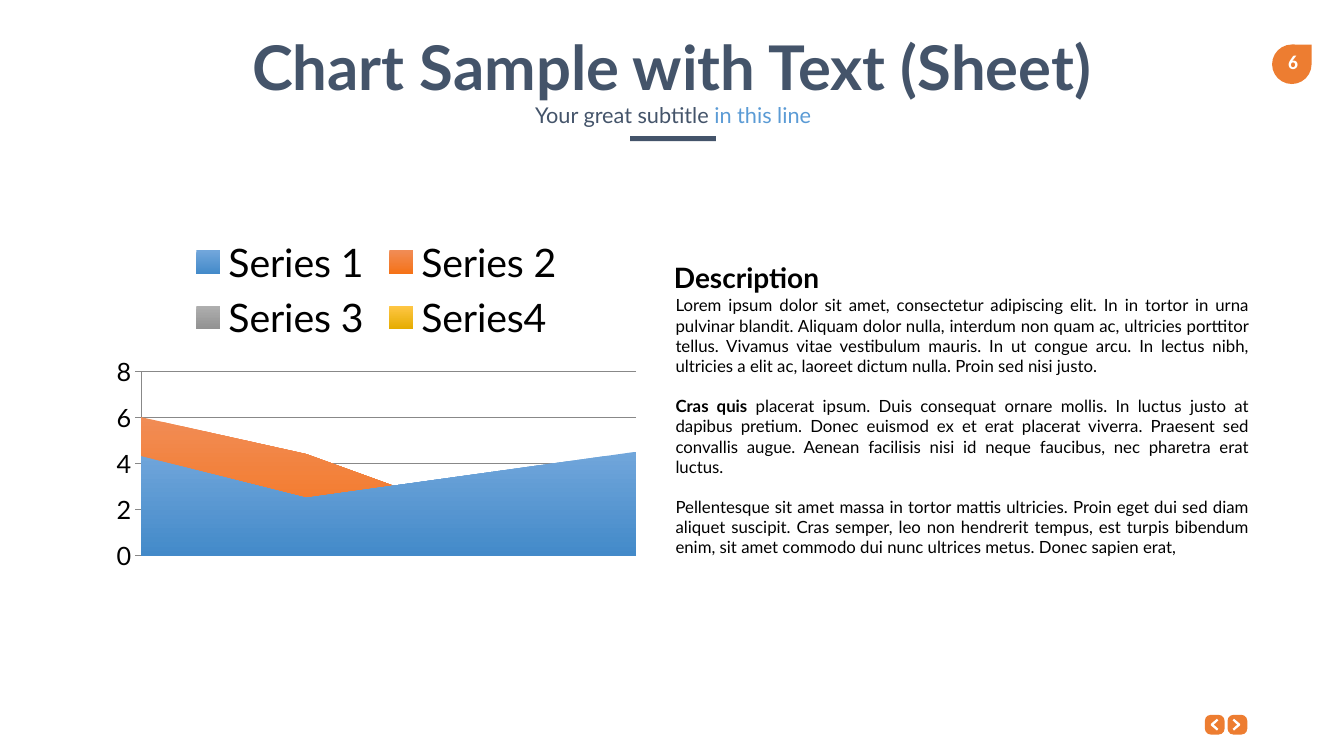
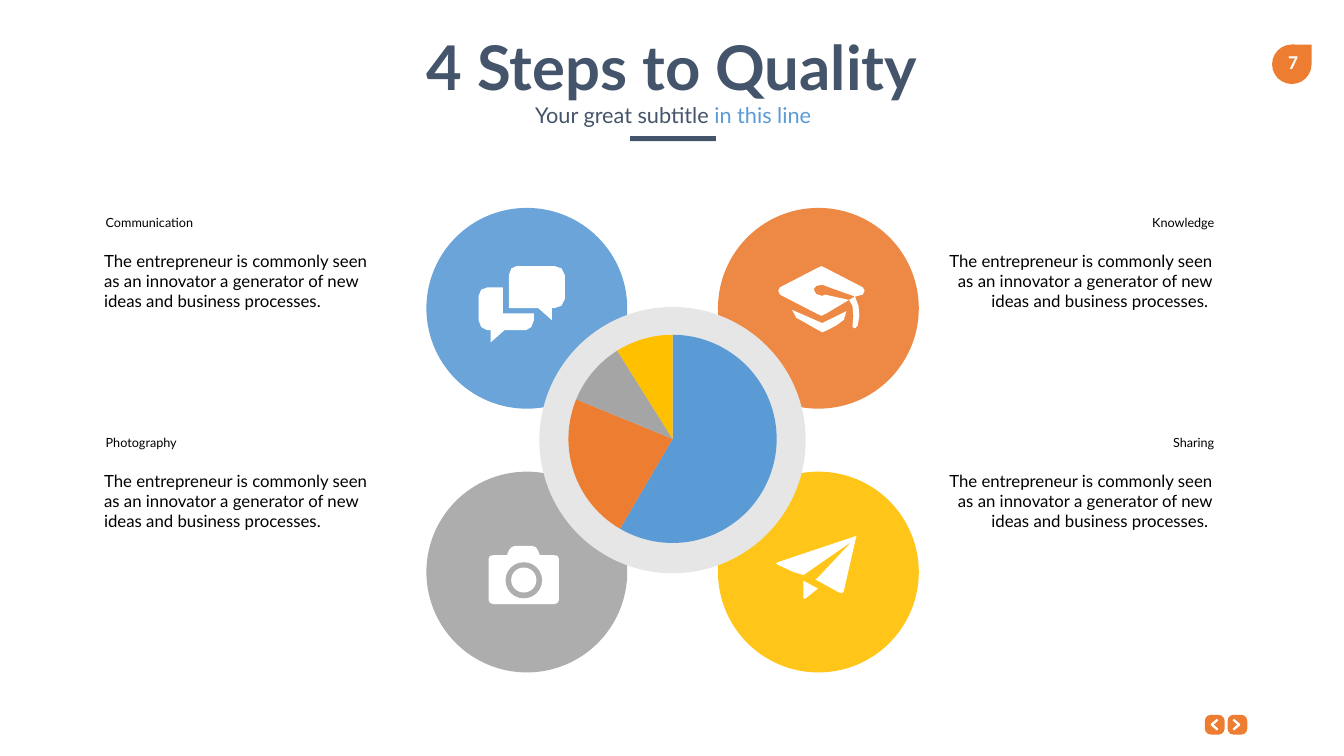
from lxml import etree
from pptx import Presentation
from pptx.chart.data import CategoryChartData
from pptx.dml.color import RGBColor
from pptx.enum.chart import XL_CHART_TYPE, XL_LEGEND_POSITION, XL_TICK_MARK
from pptx.enum.shapes import MSO_SHAPE
from pptx.enum.text import PP_ALIGN
from pptx.oxml.ns import qn
from pptx.util import Inches, Pt

AREA, PIE = XL_CHART_TYPE.AREA, XL_CHART_TYPE.PIE
TOP, OUT = XL_LEGEND_POSITION.TOP, XL_TICK_MARK.OUTSIDE
RECT, OVAL = MSO_SHAPE.RECTANGLE, MSO_SHAPE.OVAL
ROUND, TEAR = MSO_SHAPE.ROUNDED_RECTANGLE, MSO_SHAPE.TEAR
LEFT, MID, RIGHT, FULL = (PP_ALIGN.LEFT, PP_ALIGN.CENTER,
                          PP_ALIGN.RIGHT, PP_ALIGN.JUSTIFY)

# The slide is a grid of 160 columns by 90 rows of square cells
WIDE, HIGH = Inches(13.33), Inches(7.5)
CELL = HIGH / 90
FONT = "Lato"
INK = {"navy": "44546A", "blue": "5B9BD5", "orange": "ED7D31",
       "gray": "A5A5A5", "gold": "FFC000", "pale": "E7E6E6",
       "lens": "AEAEAE", "grid": "888888", "white": "FFFFFF",
       "black": "000000"}
HUES = ("blue", "orange", "gray", "gold")
SHADE = (("71A6DB", "438AC9"), ("F18C55", "F57217"),
         ("AFAFAF", "929292"), ("FFC746", "E5AC00"))

# Icon outlines, in percent of the icon's box
CHAT = [
    [(28, 28), (10, 28), (3, 31), (0, 39), (0, 71), (3, 80), (10, 84),
     (14, 84), (14, 100), (30, 84), (55, 84), (61, 80), (64, 71),
     (64, 62), (28, 62)],
    [(88, 0), (44, 0), (38, 3), (35, 12), (35, 55), (69, 55), (85, 71),
     (85, 55), (88, 55), (96, 52), (100, 43), (100, 12), (96, 3)]]
CAP = [
    [(98, 32), (55, 3), (50, 0), (45, 3), (2, 32), (0, 37), (2, 43),
     (45, 72), (50, 75), (55, 72), (82, 51), (54, 43), (51, 45), (44, 42),
     (41, 35), (44, 30), (51, 28), (59, 32), (89, 46), (98, 43), (100, 37)],
    [(16, 66), (21, 78), (32, 86), (44, 95), (51, 100), (58, 96),
     (68, 89), (76, 81), (79, 68), (51, 86)],
    [(82, 51), (89, 46), (93, 60), (94, 75), (92, 90), (89, 94),
     (86, 92), (87, 75), (86, 60)]]
CAM = [
    [(93, 16), (98, 17), (100, 22), (100, 93), (98, 98), (93, 100),
     (7, 100), (2, 98), (0, 93), (0, 22), (2, 17), (7, 16), (26, 16),
     (29, 7), (33, 2), (37, 0), (62, 0), (67, 2), (70, 7), (73, 16)]]
PLANE = [
    [(100, 0), (99, 5), (84, 87), (82, 89), (78, 88), (52, 70), (49, 68),
     (52, 65), (94, 9), (34, 61), (21, 56), (2, 45), (0, 43), (2, 41)],
    [(34, 70), (52, 82), (36, 98), (34, 97)]]
BACK = [[(83, 0), (100, 15), (40, 50), (100, 85), (83, 100), (0, 56), (0, 44)]]
NEXT = [[(100 - x, y) for x, y in BACK[0]]]

# Wording
LOREM = [
    [("Lorem ipsum dolor sit amet, consectetur adipiscing elit. In in tortor "
      "in urna pulvinar blandit. Aliquam dolor nulla, interdum non quam ac, "
      "ultricies porttitor tellus. Vivamus vitae vestibulum mauris. In ut "
      "congue arcu. In lectus nibh, ultricies a elit ac, laoreet dictum "
      "nulla. Proin sed nisi justo. ", "black", False)],
    [("Cras quis ", "black", True),
     ("placerat ipsum. Duis consequat ornare mollis. In luctus justo at "
      "dapibus pretium. Donec euismod ex et erat placerat viverra. Praesent "
      "sed convallis augue. Aenean facilisis nisi id neque faucibus, nec "
      "pharetra erat luctus.", "black", False)],
    [("Pellentesque sit amet massa in tortor mattis ultricies. Proin eget "
      "dui sed diam aliquet suscipit. Cras semper, leo non hendrerit tempus, "
      "est turpis bibendum enim, sit amet commodo dui nunc ultrices metus. "
      "Donec sapien erat, ", "black", False)]]
STEP = ("The entrepreneur is commonly seen as an innovator a generator of "
        "new ideas and business processes.")
# Label, hue, column, row, outline, icon box in shares of the disc
STEPS = [("Photography", "gray", 0, 1, CAM, (.31, .37, .35, .29)),
         ("Sharing", "gold", 1, 1, PLANE, (.29, .32, .4, .32)),
         ("Communication", "blue", 0, 0, CHAT, (.26, .29, .43, .38)),
         ("Knowledge", "orange", 1, 0, CAP, (.3, .29, .43, .33))]
SALES = [("Series 1", (4.3, 2.5, 3.5, 4.5)), ("Series 2", (6, 4.4, 1.8, 2.8)),
         ("Series 3", (5, 2, 1, 2)), ("Series4", (None,) * 4)]
PARTS = [("Series 1", (59, 23, 10, 9))]


def rgb(name):
    return RGBColor.from_string(INK.get(name, name))


def emu(box):
    return [round(n * CELL) for n in box]


def part(box, share):
    """Box that takes the given shares of a parent box."""
    x, y, w, h = box
    a, b, c, d = share
    return x + a * w, y + b * h, c * w, d * h


def paint(shape, hue, alpha=100):
    shape.shadow.inherit = False
    shape.fill.solid()
    shape.fill.fore_color.rgb = rgb(hue)
    shape.line.fill.background()
    if alpha < 100:
        tint = shape.fill._xPr.find(".//" + qn("a:srgbClr"))
        etree.SubElement(tint, qn("a:alpha"), val=str(alpha * 1000))
    return shape


def block(slide, kind, box, hue, alpha=100):
    return paint(slide.shapes.add_shape(kind, *emu(box)), hue, alpha)


def outline(slide, box, loops):
    x, y, w, h = box
    pen = None
    for loop in loops:
        pts = [((x + a * w / 100) * CELL, (y + b * h / 100) * CELL)
               for a, b in loop]
        if pen is None:
            pen = slide.shapes.build_freeform(*pts[0])
        else:
            pen.move_to(*pts[0])
        pen.add_line_segments(pts[1:], close=True)
    paint(pen.convert_to_shape(), "white")


def write(slide, box, paras, size, align=LEFT, pad=(.1, .05), gap=0,
          lead=None, font=FONT):
    """Each paragraph is a list of runs: (text, hue, bold)."""
    frame = slide.shapes.add_textbox(*emu(box)).text_frame
    frame.word_wrap = True
    frame.margin_left = frame.margin_right = Inches(pad[0])
    frame.margin_top = frame.margin_bottom = Inches(pad[1])
    for i, runs in enumerate(paras):
        para = frame.add_paragraph() if i else frame.paragraphs[0]
        para.alignment = align
        para.space_before = Pt(gap if i else 0)
        if lead:
            para.line_spacing = lead
        for text, hue, bold in runs:
            run = para.add_run()
            run.text = text
            run.font.name, run.font.size = font, Pt(size)
            run.font.bold = bold
            run.font.color.rgb = rgb(hue)


def style(font, size, name=FONT):
    font.name, font.size = name, Pt(size)
    font.color.rgb = rgb("black")


def plot(slide, box, kind, rows):
    data = CategoryChartData()
    data.categories = ["1", "2", "3", "4"]
    for name, vals in rows:
        data.add_series(name, vals)
    chart = slide.shapes.add_chart(kind, *emu(box), data).chart
    chart.has_title = chart.has_legend = False
    style(chart.font, 18, "Calibri")
    return chart


def head(slide, box, title):
    """Title, subtitle and rule, centred in the box."""
    x, y, w, h = box
    mid = x + w / 2
    write(slide, (x, y, w, 9.5), [[(title, "navy", True)]], 44, MID, (.05, .02))
    write(slide, (mid - 38.1, y + 7.6, 76.4, 5.5),
          [[("Your great subtitle ", "navy", False),
            ("in this line", "blue", False)]],
          15.5, MID, (.12, .06), lead=1.2)
    block(slide, RECT, (mid - 5, y + h - .6, 10.2, .6), "navy")


def badge(slide, box, num):
    x, y, w, h = box
    block(slide, TEAR, box, "orange")
    write(slide, (x - .1, y + .1, w + .5, h), [[(num, "white", True)]],
          14, MID, font="Calibri")


def pager(slide, box):
    x, y, w, h = box
    for i, loops in enumerate((BACK, NEXT)):
        key = (x + i * (w - h), y, h, h)
        block(slide, ROUND, key, "orange").adjustments[0] = .3
        outline(slide, part(key, (.3 - i * .04, .2, .38, .6)), loops)


def page(deck, title, num):
    slide = deck.slides.add_slide(deck.slide_layouts[6])
    pager(slide, (143.4, 85.1, 5.05, 2.35))
    badge(slide, (151.4, 5.3, 4.7, 4.7), num)
    head(slide, (11.25, 3.15, 137.5, 13.65), title)
    return slide


def area(slide, box):
    chart = plot(slide, box, AREA, SALES)
    chart.has_legend = True
    chart.legend.position = TOP
    chart.legend.include_in_layout = False
    style(chart.legend.font, 28)
    chart.category_axis.visible = False
    axis = chart.value_axis
    axis.minimum_scale, axis.maximum_scale, axis.major_unit = 0, 8, 2
    axis.major_tick_mark = OUT
    style(axis.tick_labels.font, 18)
    for line in (axis.format.line, axis.major_gridlines.format.line):
        line.color.rgb = rgb("grid")
        line.width = Pt(.75)
    # Areas run from edge to edge
    axis._element.find(qn("c:crossBetween")).set("val", "midCat")
    for row, shades in zip(chart.plots[0].series, SHADE):
        fill = row.format.fill
        fill.gradient()
        fill.gradient_angle = 270
        for stop, shade in zip(fill.gradient_stops, shades):
            stop.color.rgb = rgb(shade)


def story(slide, box):
    x, y, w, h = box
    write(slide, (x, y + 3.9, w, h - 3.9), LOREM, 12, FULL, (0, .07), gap=14.4)
    write(slide, (x - .2, y, w, 4.7), [[("Description", "black", True)]],
          20, pad=(0, .05))


def wheel(slide, box):
    """Four discs at the corners, a ring and a pie in the middle."""
    x, y, w, h = box
    size = 23.9
    for _, hue, col, row, loops, share in STEPS:
        disc = (x + col * (w - size), y + row * (h - size), size, size)
        block(slide, OVAL, disc, hue, 90)
        icon = part(disc, share)
        outline(slide, icon, loops)
        if loops is CAM:
            block(slide, OVAL, part(icon, (.24, .28, .52, .62)), "lens")
            block(slide, OVAL, part(icon, (.32, .37, .36, .43)), "white")
    ring = 31.7
    block(slide, OVAL, (x + (w - ring) / 2, y + (h - ring) / 2, ring, ring),
          "pale")
    chart = plot(slide, (x + w / 2 - 15.5, y + h / 2 - 14.2, 31, 28.1),
                 PIE, PARTS)
    chart.plots[0].vary_by_categories = False
    for i, hue in enumerate(HUES):
        fill = chart.plots[0].series[0].points[i].format.fill
        fill.solid()
        fill.fore_color.rgb = rgb(hue)


def notes(slide, box):
    """A label and a text beside each disc."""
    x, y, w, h = box
    wide, high = 34.7, 12.8
    for name, _, col, row, *_ in STEPS:
        left, top = x + col * (w - wide), y + row * (h - high)
        side = RIGHT if col else LEFT
        text = STEP + " " * col
        write(slide, (left + .2, top, wide, 3),
              [[(name, "black", False)]], 9, side)
        write(slide, (left, top + 4.3, wide, 8.5),
              [[(text, "black", False)]], 12, side)


def main():
    deck = Presentation()
    deck.slide_width, deck.slide_height = WIDE, HIGH
    slide = page(deck, "Chart Sample with Text (Sheet)", "6")
    area(slide, (12.6, 26.6, 64.4, 42.2))
    story(slide, (80.4, 30.4, 68.3, 36.2))
    slide = page(deck, "4 Steps to Quality", "7")
    wheel(slide, (50.75, 24.75, 58.6, 55.3))
    notes(slide, (11.2, 24.95, 134.3, 39))
    deck.save("out.pptx")


if __name__ == "__main__":
    main()
